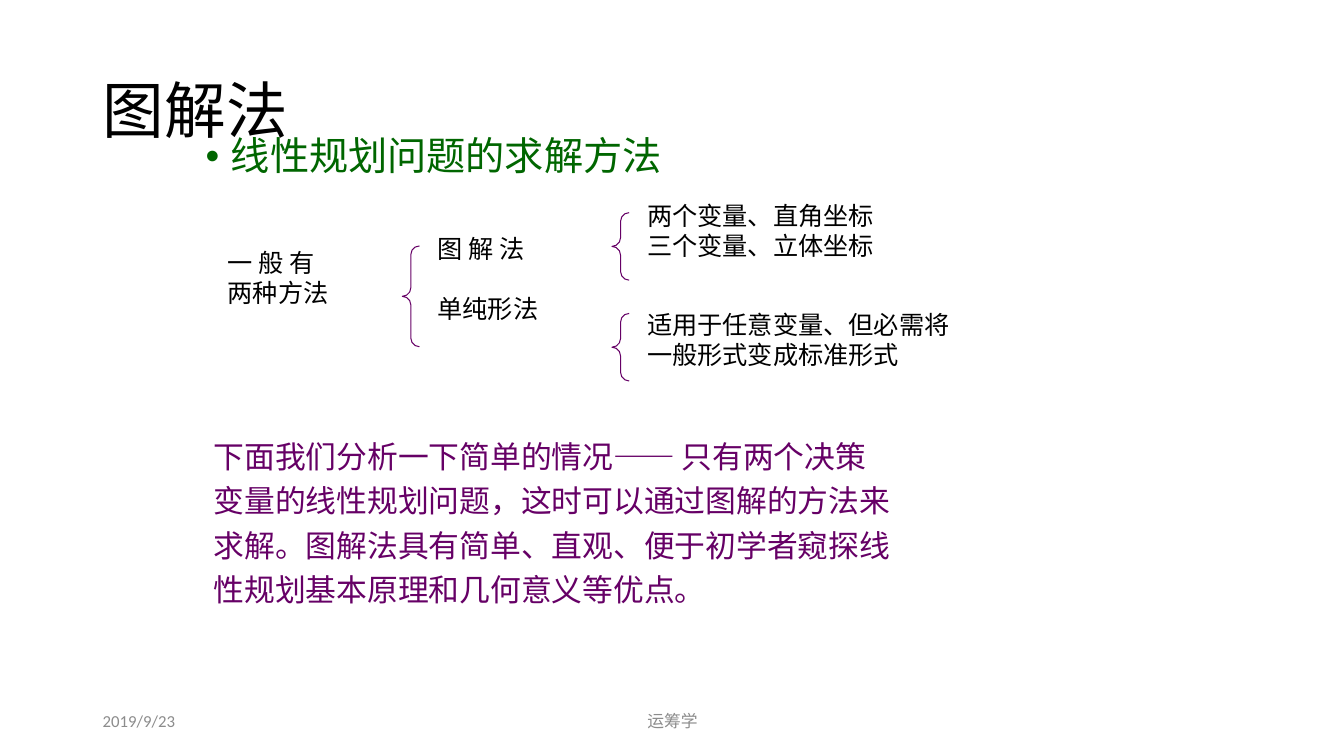
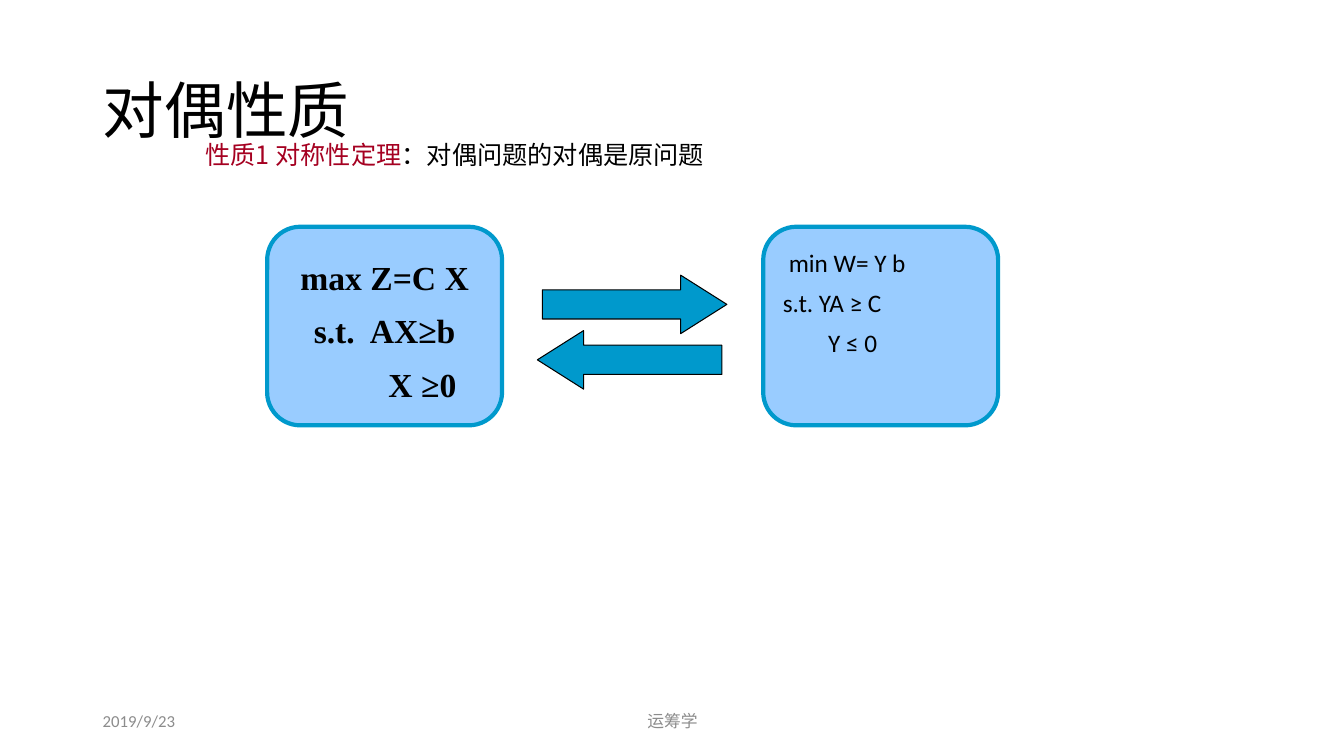
from pptx import Presentation
from pptx import util as u
from pptx.dml.color import RGBColor
from pptx.enum import shapes, text
from pptx.oxml.ns import qn
from lxml import etree

COLORS = {
    "ink": "000000", "muted": "8C8C8C", "green": "006600", "purple": "660066",
    "crimson": "A50021", "sky": "99CCFF", "ocean": "0099CC",
}
LATIN, CJK, SERIF = "Calibri", "Noto Sans CJK SC", "Times New Roman"
ALIGN, ANCHOR, PRESET = text.PP_ALIGN, text.MSO_ANCHOR, shapes.MSO_SHAPE
LINE_18 = u.Pt(21.4)  # line pitch of 18 pt Chinese text


def rgb(name):
    return RGBColor.from_string(COLORS[name])


def box(left, top, width, height):
    return [u.Inches(value) for value in (left, top, width, height)]


def style_run(run, size, color="ink", font=LATIN, bold=False):
    run.font.size = u.Pt(size)
    run.font.name = font
    run.font.bold = bold
    run.font.color.rgb = rgb(color)


def style_paragraph(paragraph, size, color="ink", font=LATIN, bold=False,
                    align=ALIGN.LEFT, spacing=1.0, before=0):
    paragraph.alignment = align
    paragraph.line_spacing = spacing
    paragraph.space_before = u.Pt(before)
    for run in paragraph.runs:
        style_run(run, size, color, font, bold)


def indent(paragraph, left, first=0):
    properties = paragraph._p.get_or_add_pPr()
    properties.set("marL", str(u.Inches(left)))
    properties.set("indent", str(u.Inches(first)))


def move(shape, left, top, width, height):
    shape.left, shape.top, shape.width, shape.height = box(left, top, width, height)


def add_text(slide, place, content, anchor=ANCHOR.TOP, **style):
    frame = slide.shapes.add_textbox(*box(*place)).text_frame
    frame.word_wrap = True
    frame.vertical_anchor = anchor
    frame.text = content
    for paragraph in frame.paragraphs:
        style_paragraph(paragraph, **style)
    return frame


def add_shape(slide, preset, place, adjustments, fill, line, weight):
    shape = slide.shapes.add_shape(preset, *box(*place))
    shape.shadow.inherit = False
    for index, value in enumerate(adjustments):
        shape.adjustments[index] = value
    if fill:
        shape.fill.solid()
        shape.fill.fore_color.rgb = rgb(fill)
    else:
        shape.fill.background()
    shape.line.color.rgb = rgb(line)
    shape.line.width = u.Pt(weight)
    return shape


def start_slide(prs, layout, heading):
    """Slide with the shared title style, date and footer."""
    slide = prs.slides.add_slide(prs.slide_layouts[layout])
    for place, label, align in (
            ((0.92, 6.95, 3, 0.4), "2019/9/23", ALIGN.LEFT),
            ((4.42, 6.95, 4.5, 0.4), "运筹学", ALIGN.CENTER)):
        add_text(slide, place, label, ANCHOR.MIDDLE, size=12, color="muted", align=align)
    title = slide.shapes.title
    move(title, 0.92, 0.4, 11.5, 1.45)
    title.text_frame.text = heading
    title.text_frame.vertical_anchor = ANCHOR.MIDDLE
    style_paragraph(title.text_frame.paragraphs[0], 44, spacing=0.9)
    return slide


def add_bullet(slide, place, content):
    body = slide.placeholders[1]
    move(body, *place)
    body.text_frame.text = content
    paragraph = body.text_frame.paragraphs[0]
    style_paragraph(paragraph, 28, "green", spacing=0.9)
    indent(paragraph, 0.25, -0.25)
    properties = paragraph._p.get_or_add_pPr()
    font = etree.SubElement(properties, qn("a:buFont"))
    font.set("typeface", "Arial")
    etree.SubElement(properties, qn("a:buChar")).set("char", "•")


def add_brace(slide, left, top, height):
    width = 0.17
    add_shape(slide, PRESET.LEFT_BRACE, (left, top, width, height),
              (width / height * 2 if height < 1 else 0.5, 0.5), None, "purple", 0.75)


def add_model_card(slide, left, lines, indents, top_inset, **style):
    card = add_shape(slide, PRESET.ROUNDED_RECTANGLE, (left, 2.25, 2.33, 1.97),
                     (0.167,), "sky", "ocean", 3)
    frame = card.text_frame
    frame.word_wrap = True
    frame.vertical_anchor = ANCHOR.TOP
    frame.margin_top, frame.margin_bottom = u.Inches(top_inset), 0
    frame.text = "\n".join(lines)
    for paragraph, left_indent in zip(frame.paragraphs, indents):
        style_paragraph(paragraph, spacing=1.2, before=0.15 * style["size"], **style)
        indent(paragraph, left_indent)


def build_graphical_method(prs):
    slide = start_slide(prs, 1, "图解法")
    add_bullet(slide, (1.94, 1.31, 8.9, 0.63), "线性规划问题的求解方法")

    # Tree of methods
    label = dict(size=18, font=CJK, spacing=LINE_18)
    add_text(slide, (2.16, 2.41, 1.3, 0.71), "一 般 有\n两种方法", **label)
    methods = add_text(slide, (4.24, 2.27, 1.3, 1.01), "图 解 法\n单纯形法", **label)
    methods.paragraphs[1].space_before = LINE_18
    add_text(slide, (6.32, 1.94, 2.6, 0.71), "两个变量、直角坐标\n三个变量、立体坐标", **label)
    add_text(slide, (6.32, 3.02, 3.4, 0.71),
             "适用于任意变量、但必需将\n一般形式变成标准形式", **label)
    for brace in ((3.99, 2.44, 1), (6.07, 2.11, 0.67), (6.07, 3.11, 0.67)):
        add_brace(slide, *brace)

    # Explanation
    explanation = add_text(slide, (2.02, 4.22, 6.93, 1.88), "下面我们分析一下简单的情况",
                           size=22, color="purple", spacing=u.Pt(31.7))
    for content, font in (
            ("——", CJK),
            (" 只有两个决策变量的线性规划问题，这时可以通过图解的方法来求解。"
             "图解法具有简单、直观、便于初学者窥探线性规划基本原理和几何意义等优点。", LATIN)):
        run = explanation.paragraphs[0].add_run()
        run.text = content
        style_run(run, 22, "purple", font)


def build_duality(prs):
    slide = start_slide(prs, 5, "对偶性质")

    # Theorem
    theorem = add_text(slide, (1.94, 1.34, 5.2, 0.71), "性质1 对称性定理",
                       size=18, color="crimson", font=CJK, spacing=LINE_18)
    statement = theorem.paragraphs[0].add_run()
    statement.text = "：对偶问题的对偶是原问题"
    style_run(statement, 18, font=CJK)

    # Primal and dual models
    add_model_card(slide, 7.57, ("min W= Y b", "s.t. YA ≥ C", "Y ≤ 0"),
                   (0.06, 0, 0.45), 0.05, size=18)
    add_model_card(slide, 2.65, ("max Z=C X", "s.t.  AX≥b", "X ≥0"),
                   (0, 0, 0.75), 0.12, size=24, font=SERIF, bold=True, align=ALIGN.CENTER)

    # Arrows both ways
    for preset, left, top in ((PRESET.RIGHT_ARROW, 5.38, 2.73),
                              (PRESET.LEFT_ARROW, 5.33, 3.28)):
        add_shape(slide, preset, (left, top, 1.83, 0.58), (0.5, 0.79), "ocean", "ink", 0.75)


def main():
    prs = Presentation()
    prs.slide_width, prs.slide_height = u.Inches(13.33), u.Inches(7.5)
    build_graphical_method(prs)
    build_duality(prs)
    prs.save("out.pptx")


if __name__ == "__main__":
    main()
